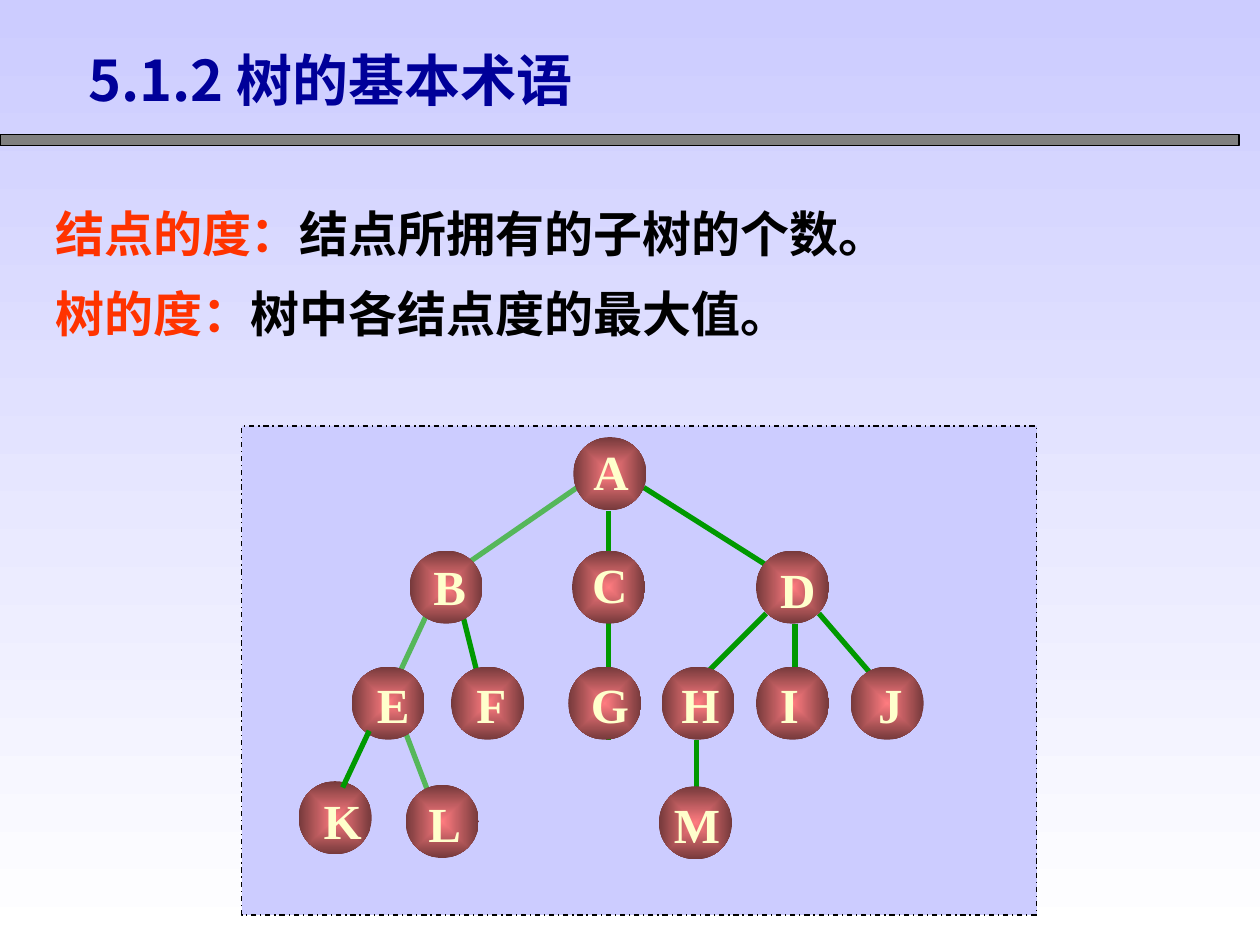
from lxml import etree
from pptx import Presentation
from pptx import util as u
from pptx.dml.color import RGBColor
from pptx.enum import dml, shapes, text
from pptx.oxml.ns import qn

COLORS = {
    "sky": "CCCCFF", "white": "FFFFFF", "gray": "808080", "black": "000000",
    "navy": "000099", "orange": "FF3300", "green": "009900", "light_green": "55B75A",
    "node_center": "FF7C80", "node_rim": "75393B", "cream": "FFFFCC",
}
SANS, SERIF = "Noto Sans CJK SC", "Times New Roman"

TITLE = "5.1.2 树的基本术语"
DEFINITIONS = [
    ("结点的度：", "结点所拥有的子树的个数。"),
    ("树的度：", "树中各结点度的最大值。"),
]
# name: center x, center y, label offset x, label offset y, label width
NODES = {
    "A": (348.5, 270.7, 0.7, -1.8, 34.6),
    "B": (254.9, 335.5, 2.1, -0.4, 33),
    "C": (347.8, 335.5, 0.7, -1.8, 34.6),
    "D": (452.9, 335.5, 2.9, 1.1, 34.6),
    "E": (221.8, 401.8, 2.9, 0.4, 33),
    "F": (278.6, 401.8, 2.2, 0.4, 31.7),
    "G": (345.6, 401.8, 2.9, 0.4, 36),
    "H": (398.9, 401.8, 1.4, 0.4, 36),
    "I": (452.9, 401.8, -1.8, 0.4, 25.2),
    "J": (506.9, 401.8, 1.8, 0.4, 28),
    "K": (191.5, 467.3, 4.3, 1.1, 36),
    "L": (252.7, 469.4, 1.4, 1.1, 33),
    "M": (397.4, 470.2, 0.7, 0.4, 40.3),
}
# start x, start y, end x, end y, color
EDGES_BEHIND = [
    (468, 350.6, 504, 392.4, "green"),
    (437.8, 350.6, 401.8, 386.6, "green"),
    (454.3, 356.4, 454.3, 386.6, "green"),
    (398.2, 422.6, 398.2, 458.6, "green"),
    (367.9, 278.6, 444.2, 326.9, "green"),
    (329.8, 278.6, 269.3, 320.4, "light_green"),
    (347.8, 292.3, 347.8, 422.6, "green"),
    (264.2, 350.6, 275, 393.8, "green"),
    (231.1, 416.9, 244.8, 452.9, "light_green"),
    (244.1, 350.6, 229, 383, "light_green"),
]
EDGE_IN_FRONT = (211, 417.6, 195.8, 450, "green")
DIAMETER, LABEL_HEIGHT = 41.8, 41


def rgb(name):
    return RGBColor.from_string(COLORS[name])


def points(*values):
    return [u.Pt(value) for value in values]


def set_all(target, values):
    for name, value in values.items():
        setattr(target, name, value)


def add_run(paragraph, content, size, font_name, color):
    run = paragraph.add_run()
    run.text = content
    set_all(run.font, {"size": u.Pt(size), "name": font_name, "bold": True})
    run.font.color.rgb = rgb(color)
    if font_name == SANS:
        etree.SubElement(run.font._element, qn("a:ea"), typeface=font_name)


def fill_gradient(fill, first, last):
    fill.gradient()
    for stop, color, position in zip(fill.gradient_stops, (first, last), (0, 1)):
        stop.color.rgb = rgb(color)
        stop.position = position


def add_box(parent, box, fill, dash=None):
    shape = parent.add_shape(shapes.MSO_SHAPE.RECTANGLE, *points(*box))
    shape.shadow.inherit = False
    shape.fill.solid()
    shape.fill.fore_color.rgb = rgb(fill)
    shape.line.color.rgb = rgb("black")
    set_all(shape.line, {"width": u.Pt(0.75), "dash_style": dash})


def add_edge(parent, edge):
    *ends, color = edge
    connector = parent.add_connector(shapes.MSO_CONNECTOR.STRAIGHT, *points(*ends))
    connector.line.color.rgb = rgb(color)
    connector.line.width = u.Pt(3)
    etree.SubElement(connector._element.spPr, qn("a:effectLst"))


def add_circle(parent, x, y):
    """Draw a node whose gradient spreads from its center to its rim."""
    radius = DIAMETER / 2
    circle = parent.add_shape(
        shapes.MSO_SHAPE.OVAL, *points(x - radius, y - radius, DIAMETER, DIAMETER))
    circle.shadow.inherit = False
    circle.line.fill.background()
    fill_gradient(circle.fill, "node_center", "node_rim")
    gradient = circle._element.spPr.find(qn("a:gradFill"))
    linear = gradient.find(qn("a:lin"))
    center_path = etree.Element(qn("a:path"), path="rect")
    etree.SubElement(center_path, qn("a:fillToRect"),
                     {side: "50000" for side in "ltrb"})
    gradient.replace(linear, center_path)


def add_label(parent, name, x, y, width):
    box = parent.add_textbox(
        *points(x - width / 2, y - LABEL_HEIGHT / 2, width, LABEL_HEIGHT))
    set_all(box.text_frame, {
        "word_wrap": False,
        "auto_size": text.MSO_AUTO_SIZE.SHAPE_TO_FIT_TEXT,
        "vertical_anchor": text.MSO_ANCHOR.MIDDLE,
    })
    paragraph = box.text_frame.paragraphs[0]
    paragraph.alignment = text.PP_ALIGN.CENTER
    add_run(paragraph, name, 28, SERIF, "cream")


def add_title(slide):
    title = slide.shapes.title
    set_all(title, dict(zip(("left", "top", "width", "height"),
                            points(43.2, 22, 373, 46))))
    set_all(title.text_frame, {
        "word_wrap": True,
        "auto_size": text.MSO_AUTO_SIZE.NONE,
        "vertical_anchor": text.MSO_ANCHOR.TOP,
    })
    paragraph = title.text_frame.paragraphs[0]
    set_all(paragraph, {"alignment": text.PP_ALIGN.LEFT, "line_spacing": u.Pt(39)})
    add_run(paragraph, TITLE, 32, SANS, "navy")


def add_definitions(slide):
    frame = slide.shapes.add_textbox(*points(24.5, 104, 617.8, 95)).text_frame
    frame.word_wrap = True
    for index, (term, meaning) in enumerate(DEFINITIONS):
        paragraph = frame.add_paragraph() if index else frame.paragraphs[0]
        set_all(paragraph, {"line_spacing": u.Pt(42.2),
                            "space_before": u.Pt(3.5 if index else 0)})
        add_run(paragraph, term, 28, SANS, "orange")
        add_run(paragraph, meaning, 28, SANS, "black")


def add_tree(slide):
    tree = slide.shapes.add_group_shape().shapes
    add_box(tree, (138.2, 243.4, 454.3, 279.4), "sky", dml.MSO_LINE.DASH_DOT)
    for edge in EDGES_BEHIND:
        add_edge(tree, edge)
    for x, y, *_ in NODES.values():
        add_circle(tree, x, y)
    for name, (x, y, shift_x, shift_y, width) in NODES.items():
        add_label(tree, name, x + shift_x, y + shift_y, width)
    add_edge(tree, EDGE_IN_FRONT)


def main():
    presentation = Presentation()
    set_all(presentation, {"slide_width": u.Pt(720), "slide_height": u.Pt(540)})
    slide = presentation.slides.add_slide(presentation.slide_layouts[5])
    fill_gradient(slide.background.fill, "sky", "white")
    slide.background.fill.gradient_angle = 270
    add_box(slide.shapes, (0, 77, 708, 6), "gray")
    add_title(slide)
    add_definitions(slide)
    add_tree(slide)
    presentation.save("out.pptx")


if __name__ == "__main__":
    main()
